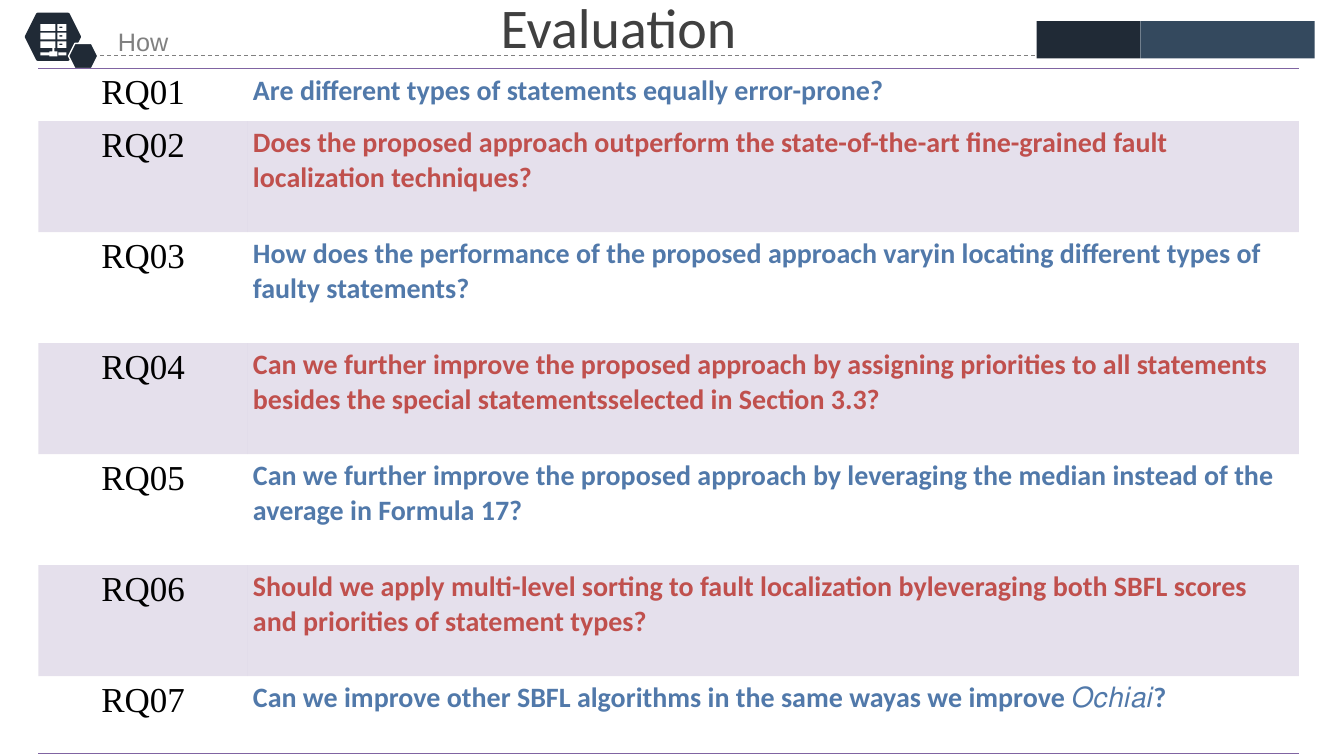
import pptx
import pptx.util
import pptx.oxml
import pptx.dml.color
import pptx.enum.dml
import pptx.enum.shapes
import pptx.enum.text

Pt = pptx.util.Pt
Shape = pptx.enum.shapes.MSO_SHAPE
Align = pptx.enum.text.PP_ALIGN
NS = 'xmlns:a="http://schemas.openxmlformats.org/drawingml/2006/main"'


def paint(color, tone):
    color.rgb = pptx.dml.color.RGBColor.from_string(tone)


def style(para, font, size, tone, bold=False):
    for run in para.runs:
        run.font.name = font
        run.font.size = Pt(size)
        run.font.bold = bold
        paint(run.font.color, tone)


deck = pptx.Presentation()
deck.slide_width = Pt(960.48)
deck.slide_height = Pt(540)
slide = deck.slides.add_slide(deck.slide_layouts[6])
shapes = slide.shapes

# Dashed header rule
rule = shapes.add_connector(
    pptx.enum.shapes.MSO_CONNECTOR.STRAIGHT, Pt(66.2), Pt(39.6), Pt(740.9), Pt(39.6))
rule.line.width = Pt(0.75)
rule.line.dash_style = pptx.enum.dml.MSO_LINE.DASH
paint(rule.line.color, "808080")
rule._element.spPr.append(pptx.oxml.parse_xml(f"<a:effectLst {NS}/>"))

# Header hexagons and bars: kind, left, top, width, height, fill, line, weight
blocks = [
    (Shape.HEXAGON, 18.7, 10.1, 38.2, 32.4, "202A36", "202A36", 2),
    (Shape.HEXAGON, 49, 31, 20.9, 18, "202A36", "FFFFFF", 1),
    (Shape.RECTANGLE, 740.9, 15.1, 74, 26.6, "202A36", None, 0),
    (Shape.RECTANGLE, 815, 15.1, 124.6, 26.6, "34495E", None, 0),
]
for kind, left, top, wide, high, fill, edge, weight in blocks:
    block = shapes.add_shape(kind, Pt(left), Pt(top), Pt(wide), Pt(high))
    block.shadow.inherit = False
    block.fill.solid()
    paint(block.fill.fore_color, fill)
    if edge:
        block.line.width = Pt(weight)
        paint(block.line.color, edge)
    else:
        block.line.fill.background()

# Server icon: three racks with slots, then stem and cable
parts = []
for rack in range(3):
    y = 17.3 + 6.1 * rack
    parts += [(28.8, y, 39.6, y + 4.7), (41, y, 47.5, y + 4.7),
              (42.5, y + 1.7, 44.6, y + 2.8)]
parts += [(37.4, 34.2, 38.9, 36.7), (35.3, 36.7, 41, 40.3),
          (28.8, 37.4, 35.3, 39.6), (41.8, 37.4, 47.5, 39.6)]
pen = shapes.build_freeform(Pt(parts[0][0]), Pt(parts[0][1]))
for index, (x1, y1, x2, y2) in enumerate(parts):
    if index:
        pen.move_to(Pt(x1), Pt(y1))
    corners = [(x2, y1), (x2, y2), (x1, y2)]
    pen.add_line_segments([(Pt(x), Pt(y)) for x, y in corners], close=True)
icon = pen.convert_to_shape()
icon.shadow.inherit = False
icon.fill.solid()
paint(icon.fill.fore_color, "FFFFFF")
icon.line.fill.background()

# Section label and title
labels = [
    ("How", 24.5, 4.3, 155.5, 39.6, "Arial", 18, "808080", 1.5, 7.2, 3.6),
    ("Evaluation", 326.9, -8.6, 230.4, 54, "Calibri", 40, "404040", 1, 5, 2.9),
]
for text, left, top, wide, high, font, size, tone, space, side, edge in labels:
    frame = shapes.add_textbox(Pt(left), Pt(top), Pt(wide), Pt(high)).text_frame
    frame.word_wrap = True
    frame.margin_left = frame.margin_right = Pt(side)
    frame.margin_top = frame.margin_bottom = Pt(edge)
    frame.text = text
    para = frame.paragraphs[0]
    para.alignment = Align.CENTER
    para.line_spacing = space
    style(para, font, size, tone)

# Research questions
asks = [
    "Are different types of statements equally error-prone?",
    "Does the proposed approach outperform the state-of-the-art fine-grained fault localization techniques?",
    "How does the performance of the proposed approach varyin locating different types of faulty statements?",
    "Can we further improve the proposed approach by assigning priorities to all statements besides the special statementsselected in Section 3.3?",
    "Can we further improve the proposed approach by leveraging the median instead of the average in Formula 17?",
    "Should we apply multi-level sorting to fault localization byleveraging both SBFL scores and priorities of statement types?",
    "Can we improve other SBFL algorithms in the same wayas we improve 𝑂𝑐ℎ𝑖𝑎𝑖?",
]
highs = [37.5] + [79.3] * 5 + [55.2]
table = shapes.add_table(
    len(asks), 2, Pt(27.4), Pt(49), Pt(900.8), Pt(sum(highs))).table
table.first_row = table.horz_banding = False
# Plain table style without grid
table._tbl.tblPr[0].text = "{2D5ABB26-0587-4C30-8999-92F81FD0307C}"
table.columns[0].width = Pt(149.8)
table.columns[1].width = Pt(751)

for row, ask in enumerate(asks):
    table.rows[row].height = Pt(highs[row])
    band = row % 2 == 1
    for col, text in enumerate([f"RQ{row + 1:02}", ask]):
        cell = table.cell(row, col)
        cell.margin_left = cell.margin_right = Pt(3.6)
        cell.margin_top = cell.margin_bottom = Pt(3.6)
        cell.text_frame.text = text
        para = cell.text_frame.paragraphs[0]
        if col == 0:
            para.alignment = Align.CENTER
            style(para, "Times New Roman", 25, "000000")
        else:
            style(para, "Calibri", 20, "C0504D" if band else "5179AA", True)

        # Translucent bands
        if band:
            cell.fill.solid()
            paint(cell.fill.fore_color, "8064A2")
            tint = cell._tc.tcPr.find(".//{*}srgbClr")
            tint.append(pptx.oxml.parse_xml(f'<a:alpha {NS} val="20000"/>'))
        else:
            cell.fill.background()

        # Rules above the first row and below the last
        side = {0: "lnT", len(asks) - 1: "lnB"}.get(row)
        if side:
            cell._tc.tcPr.insert(0, pptx.oxml.parse_xml(
                f'<a:{side} {NS} w="12700"><a:solidFill>'
                f'<a:srgbClr val="8064A2"/></a:solidFill></a:{side}>'))

deck.save("out.pptx")
